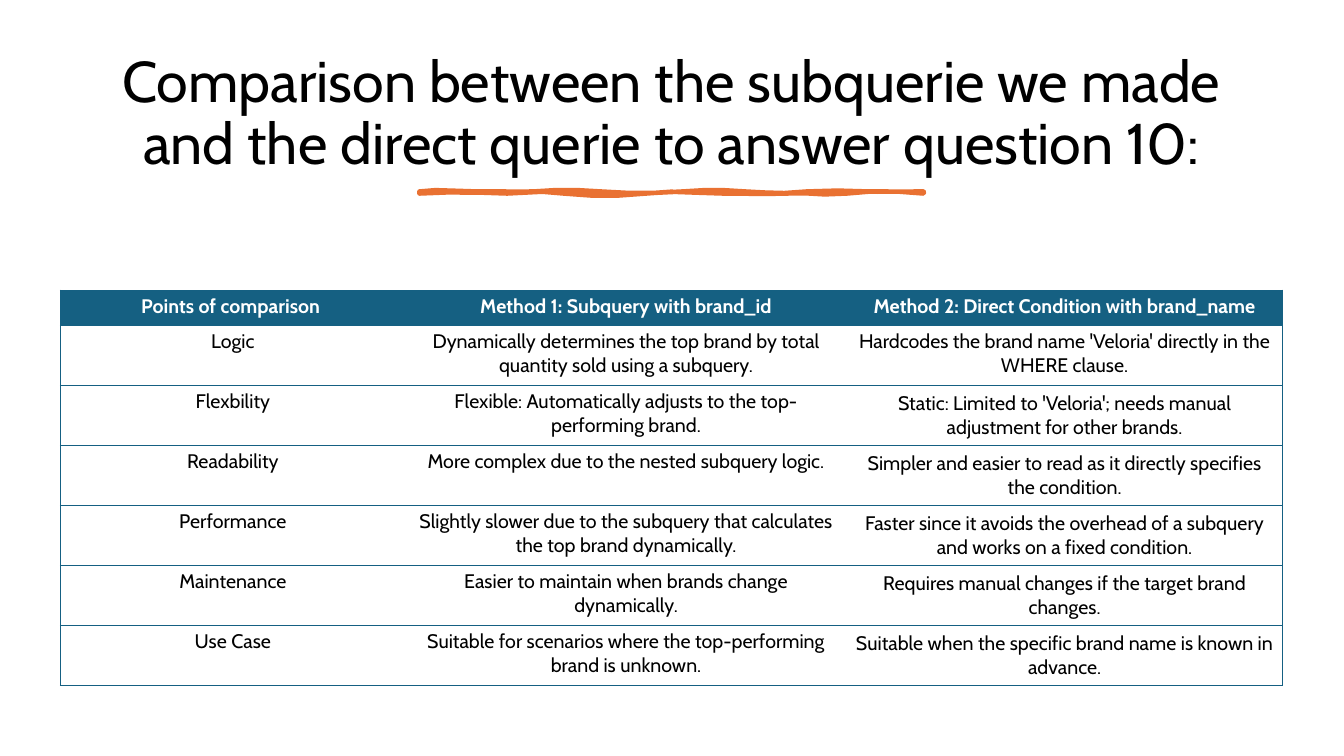
"""Build a slide that compares two query methods in a table."""
import pptx
import pptx.dml.color
import pptx.enum.text
import pptx.oxml
import pptx.oxml.ns
import pptx.util

Inches = pptx.util.Inches
Pt = pptx.util.Pt
RGBColor = pptx.dml.color.RGBColor
Anchor = pptx.enum.text.MSO_ANCHOR
CENTER = pptx.enum.text.PP_ALIGN.CENTER

TEAL = RGBColor(0x15, 0x60, 0x82)
ORANGE = RGBColor(0xE9, 0x71, 0x32)
BLACK = RGBColor(0, 0, 0)
WHITE = RGBColor(255, 255, 255)
FONT = "Cabin"

TITLE = ("Comparison between the subquerie we made "
         "and the direct querie to answer question 10:")
ROWS = [
    ("Points of comparison ", "Method 1: Subquery with brand_id",
     "Method 2: Direct Condition with brand_name"),
    ("Logic",
     "Dynamically determines the top brand by total quantity sold using a subquery.",
     "Hardcodes the brand name 'Veloria' directly in the WHERE clause."),
    ("Flexbility",
     "Flexible: Automatically adjusts to the top-performing brand.",
     "Static: Limited to 'Veloria'; needs manual adjustment for other brands."),
    ("Readability",
     "More complex due to the nested subquery logic.",
     "Simpler and easier to read as it directly specifies the condition."),
    ("Performance",
     "Slightly slower due to the subquery that calculates the top brand dynamically.",
     "Faster since it avoids the overhead of a subquery and works on a fixed condition."),
    ("Maintenance",
     "Easier to maintain when brands change dynamically.",
     "Requires manual changes if the target brand changes."),
    ("Use Case",
     "Suitable for scenarios where the top-performing brand is unknown.",
     "Suitable when the specific brand name is known in advance."),
]
WIDTHS = (3.42, 4.38, 4.32)
HIGH = 3.92
HEAD = 0.35
HEIGHTS = (HEAD,) + ((HIGH - HEAD) / 6,) * 6

START = (4.16, 1.9)
CURVES = [
    ((4.28, 1.87), (4.54, 1.9), (4.73, 1.9)),
    ((4.92, 1.89), (5.09, 1.91), (5.29, 1.9)),
    ((5.49, 1.88), (5.74, 1.88), (5.96, 1.9)),
    ((6.17, 1.92), (6.53, 1.92), (6.77, 1.9)),
    ((7.02, 1.88), (7.14, 1.88), (7.39, 1.9)),
    ((7.63, 1.91), (7.74, 1.93), (8, 1.9)),
    ((8.26, 1.87), (8.67, 1.92), (9.16, 1.9)),
    ((9.17, 1.91), (9.16, 1.91), (9.16, 1.92)),
    ((8.95, 1.9), (8.65, 1.88), (8.4, 1.92)),
    ((8.15, 1.95), (8.01, 1.9), (7.79, 1.92)),
    ((7.56, 1.93), (7.47, 1.92), (7.17, 1.92)),
    ((6.87, 1.92), (6.67, 1.88), (6.41, 1.92)),
    ((6.14, 1.95), (5.85, 1.95), (5.59, 1.92)),
    ((5.34, 1.88), (5.23, 1.92), (5.03, 1.92)),
    ((4.83, 1.91), (4.38, 1.9), (4.16, 1.92)),
]
STEPS = 3


def style(para, size, color, bold=False):
    """Centre a paragraph and format its runs."""
    para.alignment = CENTER
    for run in para.runs:
        run.font.name = FONT
        run.font.size = Pt(size)
        run.font.bold = bold
        run.font.color.rgb = color


def trace(start, curves):
    """Return points along a chain of cubic curves."""
    points = [start]
    for one, two, end in curves:
        for step in range(1, STEPS + 1):
            t = step / STEPS
            u = 1 - t
            points.append(tuple(
                u**3 * a + 3 * u * u * t * b + 3 * u * t * t * c + t**3 * d
                for a, b, c, d in zip(start, one, two, end)))
        start = end
    return [(Inches(x), Inches(y)) for x, y in points]


def border(cell, side, shown):
    """Add one cell border, teal or empty."""
    fill = (f'<a:solidFill><a:srgbClr val="{TEAL}"/></a:solidFill>'
            if shown else "<a:noFill/>")
    cell._tc.get_or_add_tcPr().append(pptx.oxml.parse_xml(
        f'<a:ln{side} {pptx.oxml.ns.nsdecls("a")} w="12700">{fill}</a:ln{side}>'))


def add_title(slide):
    """Fill and place the title."""
    title = slide.shapes.title
    title.left, title.top = Inches(0.7), Inches(0.46)
    title.width, title.height = Inches(11.93), Inches(1.37)
    frame = title.text_frame
    frame.text = TITLE
    frame.word_wrap = True
    frame.auto_size = pptx.enum.text.MSO_AUTO_SIZE.NONE
    frame.vertical_anchor = Anchor.MIDDLE
    frame.paragraphs[0].line_spacing = 0.9
    style(frame.paragraphs[0], 41, BLACK)


def add_stroke(slide):
    """Draw the wavy line under the title."""
    first, *rest = trace(START, CURVES)
    pen = slide.shapes.build_freeform(*first)
    pen.add_line_segments(rest, close=True)
    stroke = pen.convert_to_shape()
    stroke.shadow.inherit = False
    stroke.fill.solid()
    stroke.fill.fore_color.rgb = ORANGE
    stroke.line.color.rgb = ORANGE
    stroke.line.width = Pt(3.25)


def add_grid(slide):
    """Add the comparison table."""
    grid = slide.shapes.add_table(
        len(ROWS), len(WIDTHS), Inches(0.6), Inches(2.88),
        Inches(sum(WIDTHS)), Inches(HIGH)).table
    for col, width in zip(grid.columns, WIDTHS):
        col.width = Inches(width)
    for row, height in zip(grid.rows, HEIGHTS):
        row.height = Inches(height)
    last = len(WIDTHS) - 1
    for r, texts in enumerate(ROWS):
        head = r == 0
        for c, text in enumerate(texts):
            cell = grid.cell(r, c)
            cell.text = text
            style(cell.text_frame.paragraphs[0], 14,
                  WHITE if head else BLACK, head)
            cell.margin_left = cell.margin_right = Inches(0.08)
            cell.margin_top = cell.margin_bottom = Inches(0.04)
            middle = c == last and r > 1
            cell.vertical_anchor = Anchor.MIDDLE if middle else Anchor.TOP
            for side, shown in (("L", c == 0), ("R", c == last),
                                ("T", True), ("B", True)):
                border(cell, side, shown)
            if head:
                cell.fill.solid()
                cell.fill.fore_color.rgb = TEAL
            else:
                cell.fill.background()


def main():
    """Build and save the slide."""
    deck = pptx.Presentation()
    deck.slide_width, deck.slide_height = Inches(13.33), Inches(7.5)
    slide = deck.slides.add_slide(deck.slide_layouts[5])
    add_title(slide)
    add_stroke(slide)
    add_grid(slide)
    deck.save("out.pptx")


if __name__ == "__main__":
    main()
